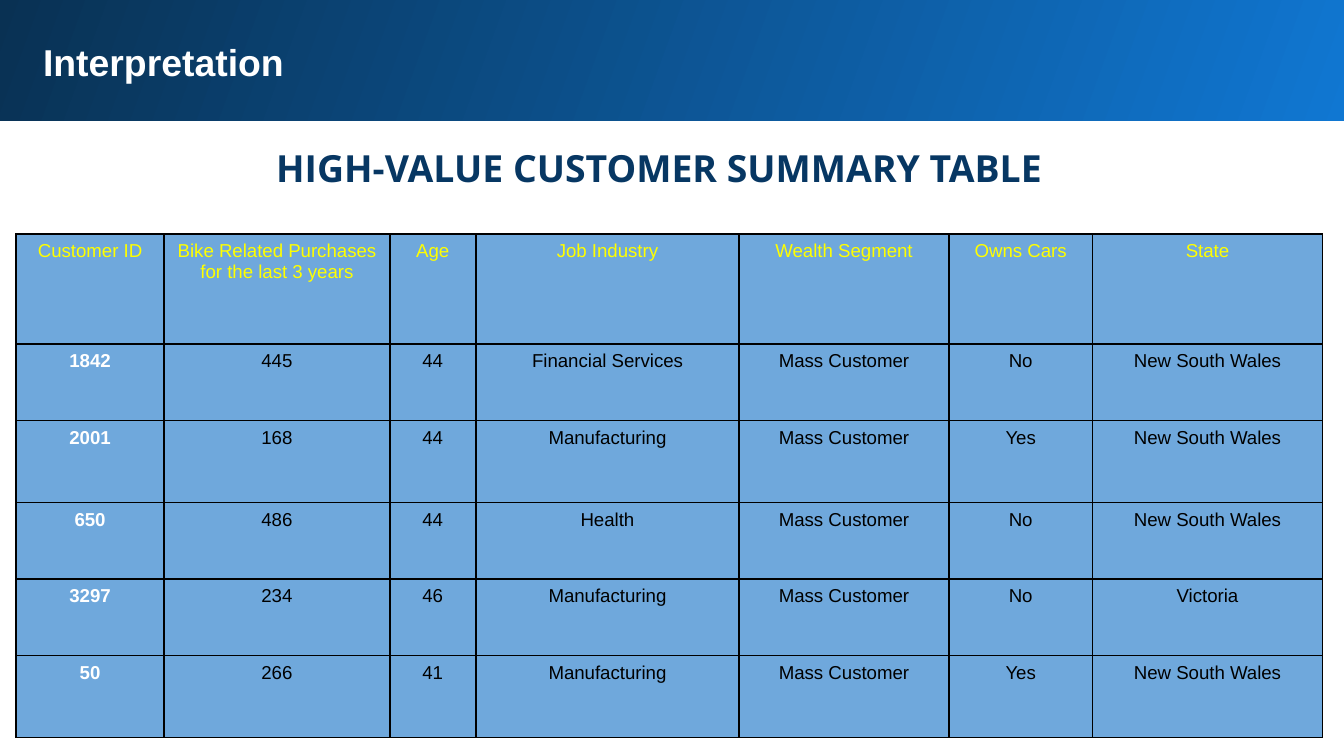
from lxml import etree
from pptx import Presentation
from pptx.dml.color import RGBColor
from pptx.enum import shapes, text
from pptx.oxml.ns import qn
from pptx.util import Inches, Pt

# Content
TITLE = "Interpretation"
HEADING = "HIGH-VALUE CUSTOMER SUMMARY TABLE"
HEADERS = ["Customer ID", "Bike Related Purchases for the last 3 years", "Age",
           "Job Industry", "Wealth Segment", "Owns Cars", "State"]
CUSTOMERS = [
    ("1842", "445", "44", "Financial Services", "Mass Customer", "No", "New South Wales"),
    ("2001", "168", "44", "Manufacturing", "Mass Customer", "Yes", "New South Wales"),
    ("650", "486", "44", "Health", "Mass Customer", "No", "New South Wales"),
    ("3297", "234", "46", "Manufacturing", "Mass Customer", "No", "Victoria"),
    ("50", "266", "41", "Manufacturing", "Mass Customer", "Yes", "New South Wales"),
]
SLIDE_WIDTH = 10
SLIDE_HEIGHT = SLIDE_WIDTH * 9 / 16
COL_WIDTHS = [1.1, 1.68, 0.64, 1.96, 1.56, 1.07, 1.71]
ROW_HEIGHTS = [0.82, 0.57, 0.61, 0.57, 0.57, 0.61]

THEME = {
    "font": "Arial", "heading_font": "Open Sans",
    "title_size": 20, "cell_size": 10, "border_width": 1,
    "band_light": "1077D2", "band_dark": "093153",
    "white": "FFFFFF", "heading": "073763", "header": "FFFF00",
    "body": "000000", "cell": "6FA8DC", "border": "000000",
}


def color(name):
    return RGBColor.from_string(THEME[name])


def add_run(p, words, font, size, color_name, bold=False):
    r = p.add_run()
    r.text = words
    r.font.name = THEME[font]
    r.font.size = Pt(THEME[size])
    r.font.bold = bold
    r.font.color.rgb = color(color_name)


def set_frame(tf):
    tf.word_wrap = True
    tf.auto_size = text.MSO_AUTO_SIZE.NONE
    tf.vertical_anchor = text.MSO_ANCHOR.TOP
    tf.margin_left = tf.margin_right = tf.margin_top = tf.margin_bottom = Inches(0.1)


def add_borders(cell):
    tc_pr = cell._tc.get_or_add_tcPr()
    for side in ("lnL", "lnR", "lnT", "lnB"):
        ln = etree.SubElement(tc_pr, qn("a:" + side), w=str(Pt(THEME["border_width"])))
        fill = etree.SubElement(ln, qn("a:solidFill"))
        etree.SubElement(fill, qn("a:srgbClr"), val=THEME["border"])


prs = Presentation()
prs.slide_width, prs.slide_height = Inches(SLIDE_WIDTH), Inches(SLIDE_HEIGHT)
s = prs.slides.add_slide(prs.slide_layouts[5])

# Gradient band, sent behind the title
band = s.shapes.add_shape(shapes.MSO_SHAPE.RECTANGLE, Inches(-0.02), Inches(-0.02),
                          Inches(10.05), Inches(0.92))
band.shadow.inherit = False
band.line.fill.background()
band.fill.gradient()
band.fill.gradient_angle = 160
for stop, position, name in zip(band.fill.gradient_stops, (0, 1), ("band_light", "band_dark")):
    stop.position = position
    stop.color.rgb = color(name)
s.shapes._spTree.insert(2, band._element)

# Title
title = s.shapes.title
title.left, title.top = Inches(0.22), Inches(0.19)
title.width, title.height = Inches(9.37), Inches(0.64)
set_frame(title.text_frame)
p = title.text_frame.paragraphs[0]
p.alignment = text.PP_ALIGN.LEFT
add_run(p, TITLE, "font", "title_size", "white", True)

# Heading
heading = s.shapes.add_textbox(Inches(0.22), Inches(0.93), Inches(9.37), Inches(0.56))
set_frame(heading.text_frame)
p = heading.text_frame.paragraphs[0]
p.alignment = text.PP_ALIGN.CENTER
p.line_spacing = 1.15
add_run(p, HEADING, "heading_font", "title_size", "heading", True)

# Customer table
rows = [HEADERS, *CUSTOMERS]
table = s.shapes.add_table(len(rows), len(HEADERS), Inches(0.12), Inches(1.74),
                           Inches(sum(COL_WIDTHS)), Inches(sum(ROW_HEIGHTS))).table
table.first_row = table.horz_banding = False
for column, width in zip(table.columns, COL_WIDTHS):
    column.width = Inches(width)
for row, height in zip(table.rows, ROW_HEIGHTS):
    row.height = Inches(height)

for i, values in enumerate(rows):
    for j, value in enumerate(values):
        cell = table.cell(i, j)
        add_borders(cell)
        cell.fill.solid()
        cell.fill.fore_color.rgb = color("cell")
        is_id = i > 0 and j == 0
        name = "header" if i == 0 else "white" if is_id else "body"
        p = cell.text_frame.paragraphs[0]
        p.alignment = text.PP_ALIGN.CENTER
        add_run(p, value, "font", "cell_size", name, is_id)

prs.save("out.pptx")
